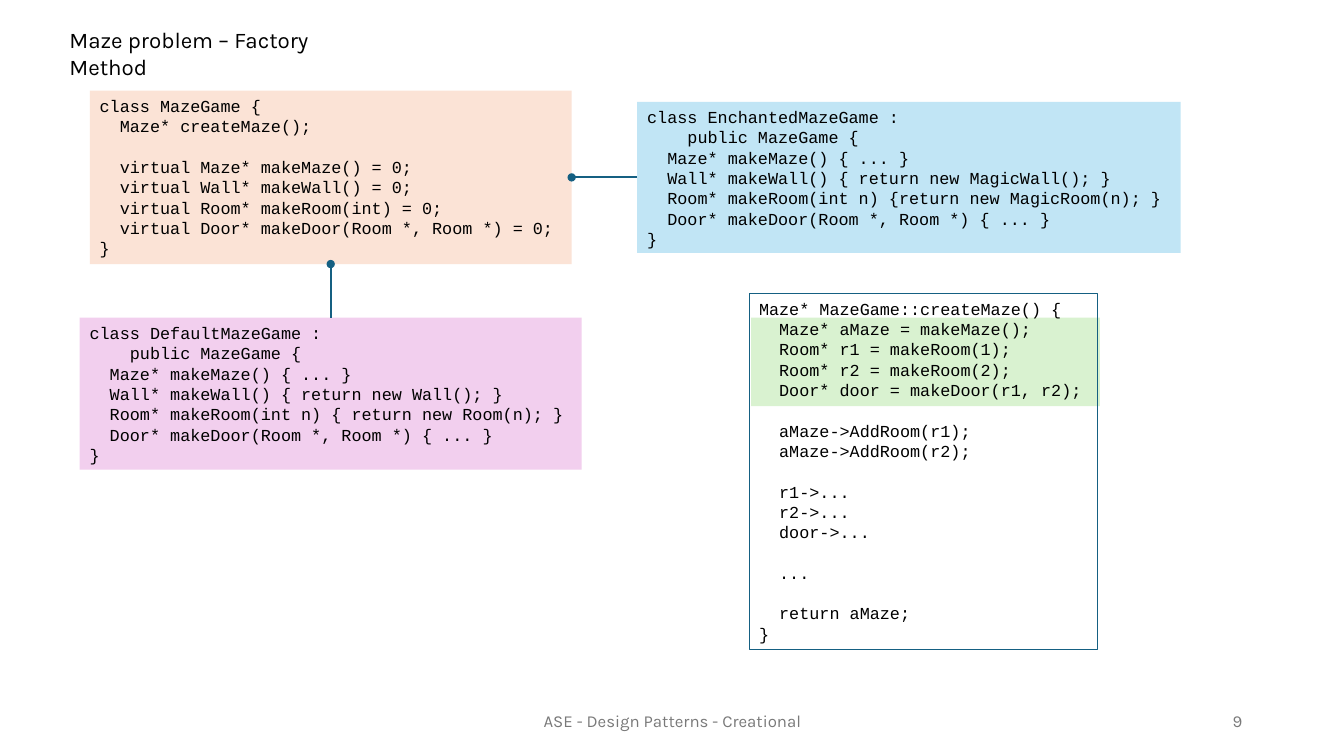
import pptx
import pptx.util
import pptx.dml.color
import pptx.enum.shapes
import pptx.enum.text
import pptx.oxml.ns
import lxml.etree

RGB = pptx.dml.color.RGBColor
ALIGN = pptx.enum.text.PP_ALIGN
ANCHOR = pptx.enum.text.MSO_ANCHOR
RECTANGLE = pptx.enum.shapes.MSO_SHAPE.RECTANGLE
CONNECTOR = pptx.enum.shapes.MSO_CONNECTOR
qn = pptx.oxml.ns.qn

BLACK = RGB(0x00, 0x00, 0x00)
GREY = RGB(0x79, 0x79, 0x79)
TEAL = RGB(0x15, 0x60, 0x82)
PEACH = RGB(0xFB, 0xE3, 0xD6)
SKY = RGB(0xC1, 0xE5, 0xF5)
GREEN = RGB(0xD9, 0xF2, 0xD0)
PINK = RGB(0xF2, 0xCF, 0xEE)

CODE_LINE = pptx.util.Pt(14.5)

deck = pptx.Presentation()
deck.slide_width = pptx.util.Inches(13.33)
deck.slide_height = pptx.util.Inches(7.5)
page = deck.slides.add_slide(deck.slide_layouts[6])

# Grid of square cells, 75 rows high
CELL = deck.slide_height / 75


def on_grid(*cells):
    """Turn counts of columns and rows into slide lengths."""
    return [round(count * CELL) for count in cells]


def add_block(shapes, place, fill=None, outline=None, code=""):
    """Add a rectangle holding code, one paragraph a line; blank lines become spacing."""
    block = shapes.add_shape(RECTANGLE, *on_grid(*place))
    block.shadow.inherit = False
    for part, colour in ((block.fill, fill), (block.line.fill, outline)):
        if colour is None:
            part.background()
        else:
            part.solid()
            part.fore_color.rgb = colour
    if outline is not None:
        block.line.width = pptx.util.Pt(0.75)
    frame = block.text_frame
    frame.word_wrap = False
    frame.vertical_anchor = ANCHOR.TOP
    para, gap = frame.paragraphs[0], 0
    for number, line in enumerate(code.strip().splitlines()):
        if not line:
            gap += CODE_LINE
            continue
        if number:
            para = frame.add_paragraph()
        layout = {"alignment": ALIGN.LEFT, "line_spacing": CODE_LINE,
                  "space_before": pptx.util.Emu(gap)}
        for name, value in layout.items():
            setattr(para, name, value)
        gap = 0
        span = para.add_run()
        span.text = line
        for name, value in {"name": "Courier New", "size": pptx.util.Pt(12)}.items():
            setattr(span.font, name, value)
        span.font.color.rgb = BLACK
    return block


# Title and footer
captions = [
    ("ASE - Design Patterns - Creational", (44.2, 69.5, 45, 4), 12, GREY, ALIGN.CENTER, ANCHOR.MIDDLE),
    ("9", (94.2, 69.5, 30, 4), 12, GREY, ALIGN.RIGHT, ANCHOR.MIDDLE),
    ("Maze problem – Factory Method", (5.9, 2.1, 32.8, 3.7), 16, BLACK, ALIGN.LEFT, ANCHOR.TOP),
]
for text, place, size, colour, alignment, anchor in captions:
    box = page.shapes.add_textbox(*on_grid(*place))
    box.text_frame.word_wrap = True
    box.text_frame.vertical_anchor = anchor
    para = box.text_frame.paragraphs[0]
    para.alignment = alignment
    span = para.add_run()
    span.text = text
    for name, value in {"name": "Karla", "size": pptx.util.Pt(size)}.items():
        setattr(span.font, name, value)
    span.font.color.rgb = colour

# Class declarations
maze_game = add_block(page.shapes, (8.9, 9, 47.8, 17.2), PEACH, code="""
class MazeGame {
  Maze* createMaze();

  virtual Maze* makeMaze() = 0;
  virtual Wall* makeWall() = 0;
  virtual Room* makeRoom(int) = 0;
  virtual Door* makeDoor(Room *, Room *) = 0;
}
""")

enchanted_game = add_block(page.shapes, (63.2, 10.1, 53.9, 15), SKY, code="""
class EnchantedMazeGame :
    public MazeGame {
  Maze* makeMaze() { ... }
  Wall* makeWall() { return new MagicWall(); }
  Room* makeRoom(int n) {return new MagicRoom(n); }
  Door* makeDoor(Room *, Room *) { ... }
}
""")

# Factory method, with its make calls highlighted
create_maze = page.shapes.add_group_shape()
add_block(create_maze.shapes, (74.5, 31.5, 34.6, 8.8), GREEN)
add_block(create_maze.shapes, (74.3, 29.1, 34.6, 35.3), outline=TEAL, code="""
Maze* MazeGame::createMaze() {
  Maze* aMaze = makeMaze();
  Room* r1 = makeRoom(1);
  Room* r2 = makeRoom(2);
  Door* door = makeDoor(r1, r2);

  aMaze->AddRoom(r1);
  aMaze->AddRoom(r2);

  r1->...
  r2->...
  door->...

  ...

  return aMaze;
}
""")

default_game = add_block(page.shapes, (7.9, 31.5, 49.8, 15.1), PINK, code="""
class DefaultMazeGame :
    public MazeGame {
  Maze* makeMaze() { ... }
  Wall* makeWall() { return new Wall(); }
  Room* makeRoom(int n) { return new Room(n); }
  Door* makeDoor(Room *, Room *) { ... }
}
""")

# Subclass links, ending in a dot at the base class
links = [
    (CONNECTOR.ELBOW, enchanted_game, 1, 3),
    (CONNECTOR.STRAIGHT, default_game, 0, 2),
]
for kind, subclass, start_side, end_side in links:
    link = page.shapes.add_connector(kind, 0, 0, 0, 0)
    link.begin_connect(subclass, start_side)
    link.end_connect(maze_game, end_side)
    link.line.color.rgb = TEAL
    link.line.width = pptx.util.Pt(1.5)
    properties = link._element.spPr
    lxml.etree.SubElement(properties.find(qn("a:ln")), qn("a:tailEnd"), type="oval")
    lxml.etree.SubElement(properties, qn("a:effectLst"))

deck.save("out.pptx")
